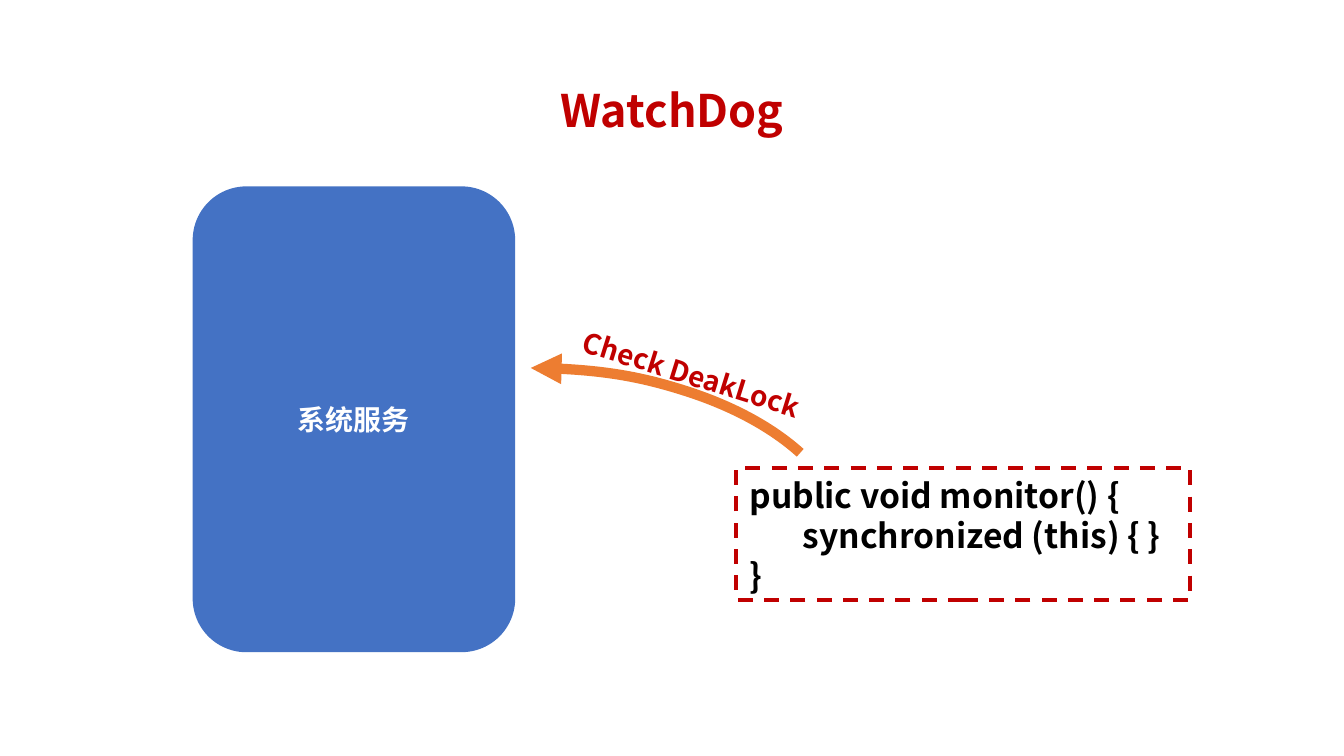
from dataclasses import dataclass

from lxml import etree
from pptx import Presentation
from pptx.dml.color import RGBColor
from pptx.enum.dml import MSO_LINE
from pptx.enum.shapes import MSO_SHAPE
from pptx.enum.text import MSO_ANCHOR, MSO_AUTO_SIZE, PP_ALIGN
from pptx.oxml.ns import qn
from pptx.util import Inches, Pt

ARC, RECT, ROUND = MSO_SHAPE.ARC, MSO_SHAPE.RECTANGLE, MSO_SHAPE.ROUNDED_RECTANGLE
CENTER, LEFT = PP_ALIGN.CENTER, PP_ALIGN.LEFT
MIDDLE, TOP = MSO_ANCHOR.MIDDLE, MSO_ANCHOR.TOP
GROW, DASH = MSO_AUTO_SIZE.SHAPE_TO_FIT_TEXT, MSO_LINE.DASH

FONT = "Noto Sans CJK SC"
COLORS = {"red": "C00000", "blue": "4472C4", "orange": "ED7D31",
          "black": "000000", "white": "FFFFFF"}
CODE = "public void monitor() {\v       synchronized (this) { }\v}"

# Widescreen slide, 16:9
prs = Presentation()
prs.slide_width = Inches(10)
prs.slide_height = prs.slide_width * 9 // 16


@dataclass
class Box:
    """A place on the slide, in percent of its width and height."""
    x: float
    y: float
    w: float
    h: float

    def emu(self) -> tuple:
        sw, sh = prs.slide_width, prs.slide_height
        return tuple(round(share * full / 100) for share, full in
                     ((self.x, sw), (self.y, sh), (self.w, sw), (self.h, sh)))


@dataclass
class Label:
    text: str
    size: float
    color: str
    align: int = LEFT
    anchor: int = TOP
    wrap: bool = True


def rgb(name: str) -> RGBColor:
    return RGBColor.from_string(COLORS[name])


def write(sp, label: Label) -> None:
    tf = sp.text_frame
    tf.text = label.text
    tf.word_wrap, tf.vertical_anchor = label.wrap, label.anchor
    p = tf.paragraphs[0]
    p.alignment = label.align
    for r in p.runs:
        for key, value in {"name": FONT, "size": Pt(label.size), "bold": True}.items():
            setattr(r.font, key, value)
        r.font.color.rgb = rgb(label.color)
        etree.SubElement(r.font._element, qn("a:ea"), typeface=FONT)


def add_text(box: Box, label: Label, rotation: float = 0) -> None:
    sp = slide.shapes.add_textbox(*box.emu())
    write(sp, label)
    sp.text_frame.auto_size = GROW
    sp.rotation = rotation


def add_shape(kind: int, box: Box, fill: str = "", line: str = "", width: float = 0):
    sp = slide.shapes.add_shape(kind, *box.emu())
    sp.shadow.inherit = False
    if fill:
        sp.fill.solid()
        sp.fill.fore_color.rgb = rgb(fill)
    else:
        sp.fill.background()
    if line:
        sp.line.color.rgb = rgb(line)
        sp.line.width = Pt(width)
    else:
        sp.line.fill.background()
    return sp


# Title
slide = prs.slides.add_slide(prs.slide_layouts[5])
title = slide.shapes.title
title.left, title.top, title.width, title.height = Box(6.9, 5.3, 86.2, 19.34).emu()
write(title, Label("WatchDog", 24, "red", CENTER, MIDDLE))
title.text_frame.paragraphs[0].line_spacing = 0.9

# Monitor code
add_text(Box(54.78, 61.92, 50, 17.96), Label(CODE, 18, "black"))

# System service
service = add_shape(ROUND, Box(14.34, 24.65, 24, 61.63), fill="blue")
write(service, Label("系统服务", 15, "white", CENTER, MIDDLE))

# Curved arrow from the code to the service, with its label
arrow = add_shape(ARC, Box(15.7, 48.68, 47.6, 48.7), line="orange", width=5.5)
arrow.adjustments[0], arrow.adjustments[1] = 162, 203.87
etree.SubElement(arrow.line._get_or_add_ln(), qn("a:headEnd"), type="triangle")
add_text(Box(42.1, 46.58, 19.3, 6.22),
         Label("Check DeakLock", 15, "red", wrap=False), rotation=17.4)

# Dashed frame around the code
frame = add_shape(RECT, Box(54.76, 61.92, 33.8, 17.42), line="red", width=2)
frame.line.dash_style = DASH

prs.save("out.pptx")
